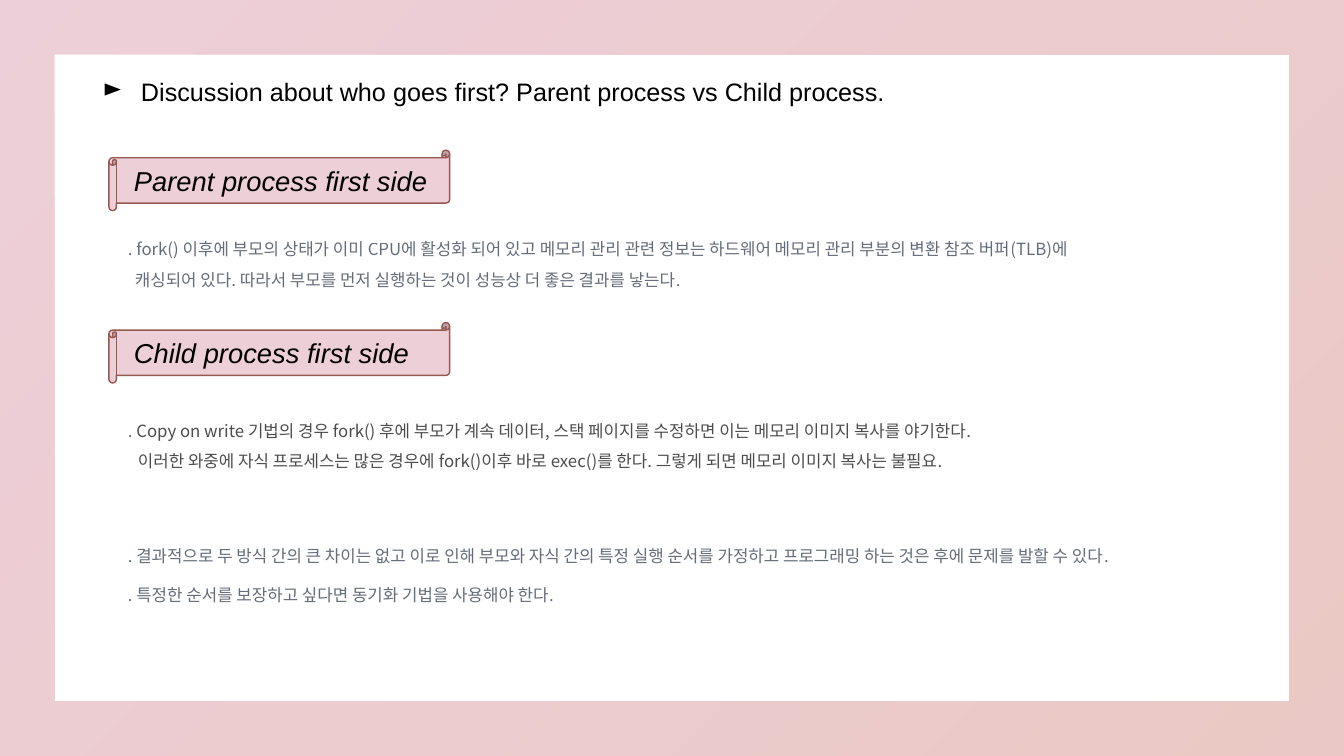
from dataclasses import dataclass

from lxml.etree import SubElement
from pptx import Presentation
from pptx.dml.color import RGBColor
from pptx.enum.shapes import MSO_SHAPE as Shape
from pptx.enum.text import MSO_ANCHOR as Anchor
from pptx.oxml.ns import qn
from pptx.util import Inches, Pt

TITLE = "Discussion about who goes first? Parent process vs Child process."

# heading, top of its scroll
HEADINGS = [("Parent process first side", 1.49), ("Child process first side", 3.2)]

# top, extra indent, colour name, bullet dot, text
LINES = [
    (2.3, 0, "slate", "", ". fork() 이후에 부모의 상태가 이미 CPU에 활성화 되어 있고 메모리 관리 관련 정보는 "
     "하드웨어 메모리 관리 부분의 변환 참조 버퍼(TLB)에"),
    (2.61, 0.07, "slate", "", "캐싱되어 있다. 따라서 부모를 먼저 실행하는 것이 성능상 더 좋은 결과를 낳는다."),
    (4.1, 0, "black", ". ", "Copy on write 기법의 경우 fork() 후에 부모가 계속 데이터, 스택 페이지를 "
     "수정하면 이는 메모리 이미지 복사를 야기한다."),
    (4.4, 0.1, "black", "", "이러한 와중에 자식 프로세스는 많은 경우에 fork()이후 바로 exec()를 한다. "
     "그렇게 되면 메모리 이미지 복사는 불필요."),
    (5.34, 0, "slate", "", ". 결과적으로 두 방식 간의 큰 차이는 없고 이로 인해 부모와 자식 간의 특정 실행 순서를 "
     "가정하고 프로그래밍 하는 것은 후에 문제를 발할 수 있다."),
    (5.73, 0, "slate", "", ". 특정한 순서를 보장하고 싶다면 동기화 기법을 사용해야 한다."),
]


@dataclass(frozen=True)
class Theme:
    black: str = "000000"
    slate: str = "242E41"
    scroll_fill: str = "EDCFD8"
    scroll_line: str = "965851"
    frame_colors: tuple = ("D488A0", "CB776E")
    frame_opacity: int = 40
    body_opacity: int = 70
    latin_font: str = "Arial"
    korean_font: str = "Noto Sans CJK KR"
    title_size: float = 18
    heading_size: float = 19.5
    body_size: float = 12


THEME = Theme()
WIDTH, HEIGHT = 13.33, 7.5
LEFT, TEXT_HEIGHT = 0.92, 0.38


def set_opacity(element, percent):
    """Make every RGB colour inside the element partly transparent."""
    for color in element.iter(qn("a:srgbClr")):
        SubElement(color, qn("a:alpha")).set("val", str(percent * 1000))


def set_font(font, name, size, color):
    font.size = Pt(size)
    font.color.rgb = RGBColor.from_string(color)
    font.name = name


def add_text(slide, left, top, width, line_spacing, anchor=Anchor.TOP):
    """Add a wrapping text box and return its empty paragraph."""
    box = slide.shapes.add_textbox(Inches(left), Inches(top), Inches(width), Inches(TEXT_HEIGHT))
    box.text_frame.word_wrap = True
    box.text_frame.vertical_anchor = anchor
    paragraph = box.text_frame.paragraphs[0]
    paragraph.line_spacing = line_spacing
    return paragraph


def add_frame(slide):
    frame = slide.shapes.add_shape(Shape.FRAME, 0, 0, Inches(WIDTH), Inches(HEIGHT))
    frame.shadow.inherit = False
    frame.adjustments[0] = 0.072
    frame.line.fill.background()
    frame.fill.gradient()
    frame.fill.gradient_angle = 315
    for stop, color in zip(frame.fill.gradient_stops, THEME.frame_colors):
        stop.color.rgb = RGBColor.from_string(color)
    set_opacity(frame._element.spPr, THEME.frame_opacity)


def add_title(slide):
    paragraph = add_text(slide, LEFT, 0.74, 9.68, 0.9, Anchor.MIDDLE)
    paragraph.add_run().text = TITLE
    properties = paragraph._p.get_or_add_pPr()
    properties.set("marL", str(Inches(0.38)))
    properties.set("indent", str(-Inches(0.38)))
    SubElement(properties, qn("a:buChar")).set("char", "►")
    set_font(paragraph.font, THEME.latin_font, THEME.title_size, THEME.black)


def add_heading(slide, text, top):
    scroll = slide.shapes.add_shape(
        Shape.HORIZONTAL_SCROLL, Inches(1.08), Inches(top), Inches(3.38), Inches(0.6))
    scroll.shadow.inherit = False
    scroll.fill.solid()
    scroll.fill.fore_color.rgb = RGBColor.from_string(THEME.scroll_fill)
    scroll.line.color.rgb = RGBColor.from_string(THEME.scroll_line)
    scroll.line.width = Pt(1)

    paragraph = add_text(slide, 1.23, top + 0.14, 3.24, 0.8, Anchor.MIDDLE)
    paragraph.add_run().text = text
    set_font(paragraph.font, THEME.latin_font, THEME.heading_size, THEME.black)
    paragraph.font.italic = True


def add_body_line(slide, top, extra_indent, color, dot, text):
    paragraph = add_text(slide, LEFT, top, 11.5, 1.1)
    paragraph.space_before = Pt(10)
    properties = paragraph._p.get_or_add_pPr()
    properties.set("marL", str(Inches(0.25 + extra_indent)))
    properties.set("indent", "0")
    set_font(paragraph.font, THEME.korean_font, THEME.body_size, getattr(THEME, color))
    east_asian = SubElement(properties.find(qn("a:defRPr")), qn("a:ea"))
    east_asian.set("typeface", THEME.korean_font)
    if dot:
        dot_run = paragraph.add_run()
        dot_run.text = dot
        dot_run.font.color.rgb = RGBColor.from_string(THEME.slate)
    paragraph.add_run().text = text
    set_opacity(paragraph._p, THEME.body_opacity)


def main():
    presentation = Presentation()
    presentation.slide_width, presentation.slide_height = Inches(WIDTH), Inches(HEIGHT)
    slide = presentation.slides.add_slide(presentation.slide_layouts[6])
    add_frame(slide)
    add_title(slide)
    for heading in HEADINGS:
        add_heading(slide, *heading)
    for line in LINES:
        add_body_line(slide, *line)
    presentation.save("out.pptx")


if __name__ == "__main__":
    main()
